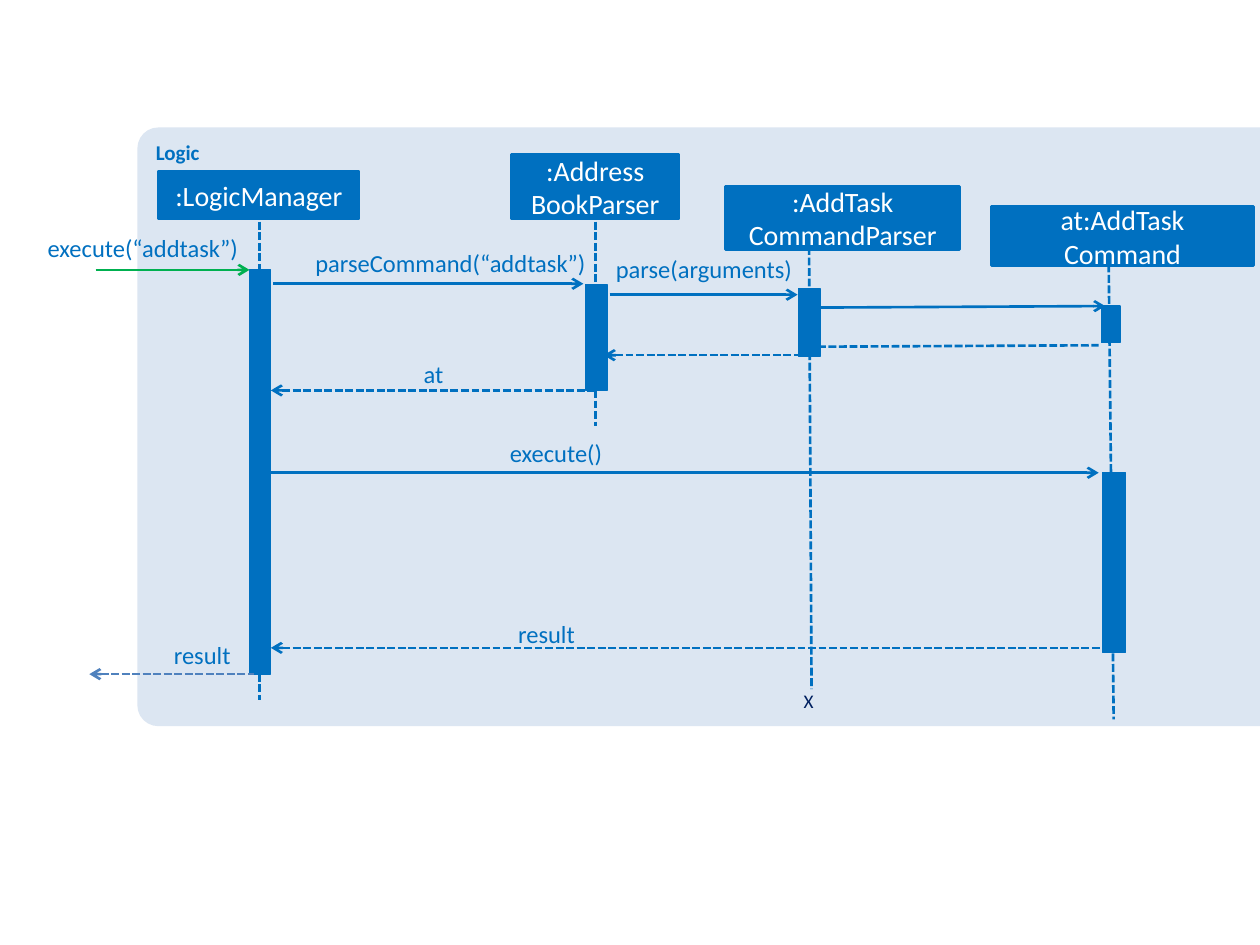
from dataclasses import dataclass
from typing import Optional

from lxml.etree import SubElement
from pptx import Presentation
from pptx.dml.color import RGBColor
from pptx.enum.dml import MSO_LINE_DASH_STYLE as Dash
from pptx.enum.shapes import MSO_CONNECTOR, MSO_SHAPE
from pptx.enum.text import MSO_ANCHOR, MSO_AUTO_SIZE, PP_ALIGN
from pptx.oxml.ns import qn
from pptx.util import Cm, Pt


@dataclass(frozen=True)
class Theme:
    font: str = "Calibri"
    main: str = "0070C0"
    frame: str = "DCE6F2"
    title: str = "FFFFFF"
    call: str = "00B050"
    answer: str = "4F81BD"
    end: str = "002060"
    title_size: float = 16
    label_size: float = 14
    frame_size: float = 12
    end_size: float = 11
    line: float = 1.5
    thin: float = 0.75


@dataclass(frozen=True)
class Box:
    left: float
    top: float
    width: float
    height: float


@dataclass(frozen=True)
class Span:
    x1: float
    y1: float
    x2: float
    y2: float


@dataclass(frozen=True)
class Participant:
    title: str
    head: Box
    lifeline: Span
    activations: tuple[Box, ...]


@dataclass(frozen=True)
class Message:
    span: Span
    reply: bool = False
    color: str = Theme.main


@dataclass(frozen=True)
class Label:
    text: str
    left: float
    top: float
    width: float


THEME = Theme()

PARTICIPANTS = (
    Participant(":LogicManager", Box(3.2, 3.45, 4.04, 0.97),
                Span(5.23, 4.47, 5.23, 14.12), (Box(5.03, 5.44, 0.43, 8.15),)),
    Participant(":Address\nBookParser", Box(10.31, 3.12, 3.38, 1.3),
                Span(12.01, 4.47, 12.01, 8.59), (Box(11.81, 5.74, 0.43, 2.13),)),
    Participant(":AddTask\vCommandParser", Box(14.63, 3.76, 4.72, 1.27),
                Span(16.31, 4.98, 16.36, 13.89), (Box(16.1, 5.82, 0.43, 1.37),)),
    Participant("at:AddTask\vCommand", Box(19.99, 4.17, 5.28, 1.19),
                Span(22.35, 5.33, 22.45, 14.5),
                (Box(22.2, 6.17, 0.38, 0.74), Box(22.23, 9.53, 0.46, 3.63))),
)

MESSAGES = (
    Message(Span(1.93, 5.44, 5.03, 5.44), color=THEME.call),
    Message(Span(5.51, 5.72, 11.76, 5.72)),
    Message(Span(12.29, 5.94, 16.08, 5.94)),
    Message(Span(16.54, 6.2, 22.28, 6.17)),
    Message(Span(16.26, 6.99, 22.15, 6.96), reply=True),
    Message(Span(12.17, 7.16, 16.31, 7.16), reply=True),
    Message(Span(5.46, 7.87, 11.99, 7.87), reply=True),
    Message(Span(5.46, 9.53, 22.15, 9.53)),
    Message(Span(5.46, 13.06, 22.23, 13.06), reply=True),
    Message(Span(1.8, 13.59, 5.13, 13.59), reply=True, color=THEME.answer),
)

LABELS = (
    Label("execute(“addtask”)", -0.1, 4.7, 4.9),
    Label("parseCommand(“addtask”)", 5.54, 5, 6.27),
    Label("parse(arguments)", 9.7, 5.13, 6.27),
    Label("at", 8.33, 7.24, 0.61),
    Label("execute()", 9.75, 8.84, 2.39),
    Label("result", 9.86, 12.47, 1.73),
    Label("result", 2.54, 12.9, 2.11),
)


def place(box: Box) -> tuple[Cm, Cm, Cm, Cm]:
    return Cm(box.left), Cm(box.top), Cm(box.width), Cm(box.height)


def write(frame, text: str, size: float, color: str,
          align: PP_ALIGN = PP_ALIGN.LEFT, bold: bool = False) -> None:
    frame.text = text
    for paragraph in frame.paragraphs:
        paragraph.alignment = align
        paragraph.font.name = THEME.font
        paragraph.font.size = Pt(size)
        paragraph.font.bold = bold
        paragraph.font.color.rgb = RGBColor.from_string(color)


def draw_block(slide, box: Box, fill: str, line: Optional[float] = None,
               preset: MSO_SHAPE = MSO_SHAPE.RECTANGLE):
    block = slide.shapes.add_shape(preset, *place(box))
    block.shadow.inherit = False
    block.fill.solid()
    block.fill.fore_color.rgb = RGBColor.from_string(fill)
    if line is None:
        block.line.fill.background()
    else:
        block.line.color.rgb = RGBColor.from_string(fill)
        block.line.width = Pt(line)
    return block


def draw_line(slide, span: Span, color: str, dashed: bool, arrow: Optional[str] = None) -> None:
    stroke = slide.shapes.add_connector(
        MSO_CONNECTOR.STRAIGHT, Cm(span.x1), Cm(span.y1), Cm(span.x2), Cm(span.y2))
    stroke.line.color.rgb = RGBColor.from_string(color)
    stroke.line.width = Pt(THEME.line)
    if dashed:
        stroke.line.dash_style = Dash.SQUARE_DOT
    properties = stroke.element.spPr
    if arrow:
        SubElement(properties.find(qn("a:ln")), qn(arrow), type="arrow")
    SubElement(properties, qn("a:effectLst"))


def draw_frame(slide) -> None:
    logic = draw_block(slide, Box(2.77, 2.57, 24.59, 12.07), THEME.frame,
                       preset=MSO_SHAPE.ROUNDED_RECTANGLE)
    logic.adjustments[0] = 0.035
    logic.text_frame.vertical_anchor = MSO_ANCHOR.TOP
    write(logic.text_frame, "Logic", THEME.frame_size, THEME.main, bold=True)


def draw_participant(slide, participant: Participant) -> None:
    draw_line(slide, participant.lifeline, THEME.main, dashed=True)
    for activation in participant.activations:
        draw_block(slide, activation, THEME.main, THEME.thin)
    head = draw_block(slide, participant.head, THEME.main, THEME.line)
    head.text_frame.vertical_anchor = MSO_ANCHOR.MIDDLE
    write(head.text_frame, participant.title, THEME.title_size, THEME.title, PP_ALIGN.CENTER)


def draw_message(slide, message: Message) -> None:
    arrow = "a:headEnd" if message.reply else "a:tailEnd"
    draw_line(slide, message.span, message.color, message.reply, arrow)


def draw_label(slide, label: Label) -> None:
    frame = slide.shapes.add_textbox(
        *place(Box(label.left, label.top, label.width, 0.61))).text_frame
    frame.word_wrap = True
    frame.auto_size = MSO_AUTO_SIZE.SHAPE_TO_FIT_TEXT
    frame.margin_left = frame.margin_top = frame.margin_right = frame.margin_bottom = Cm(0)
    write(frame, label.text, THEME.label_size, THEME.main, PP_ALIGN.RIGHT)


def draw_end(slide) -> None:
    frame = slide.shapes.add_textbox(*place(Box(15.95, 13.77, 0.71, 0.74))).text_frame
    frame.word_wrap = False
    frame.auto_size = MSO_AUTO_SIZE.SHAPE_TO_FIT_TEXT
    write(frame, "X", THEME.end_size, THEME.end)


def main() -> None:
    deck = Presentation()
    deck.slide_width, deck.slide_height = Cm(25.4), Cm(19.05)
    slide = deck.slides.add_slide(deck.slide_layouts[6])
    draw_frame(slide)
    for participant in PARTICIPANTS:
        draw_participant(slide, participant)
    for message in MESSAGES:
        draw_message(slide, message)
    for label in LABELS:
        draw_label(slide, label)
    draw_end(slide)
    deck.save("out.pptx")


main()
